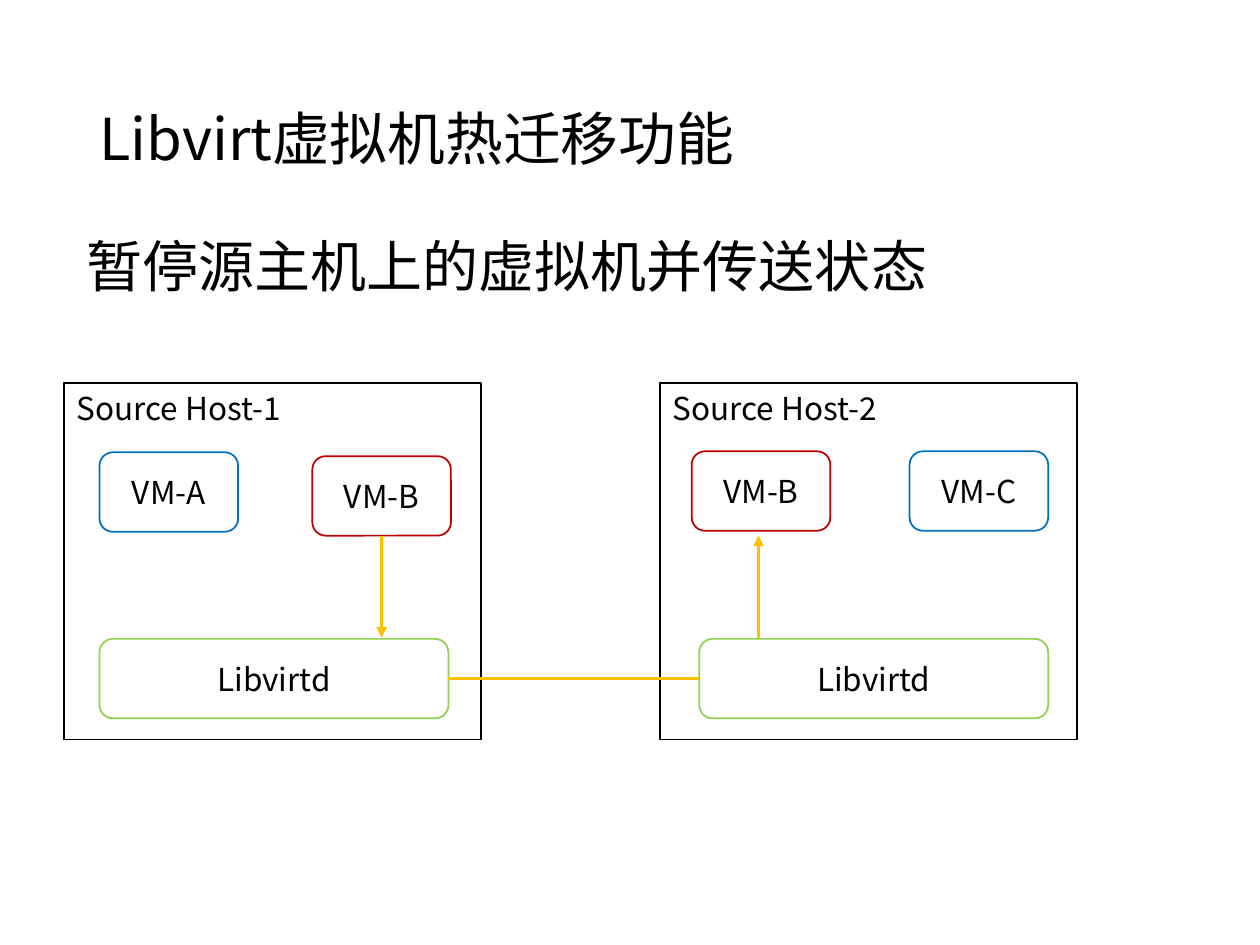
import dataclasses

import pptx
import pptx.dml.color
import pptx.enum.shapes
import pptx.enum.text
import pptx.oxml.xmlchemy
import pptx.util

Pt = pptx.util.Pt
SHAPE = pptx.enum.shapes.MSO_SHAPE
ANCHOR = pptx.enum.text.MSO_ANCHOR
ALIGN = pptx.enum.text.PP_ALIGN


@dataclasses.dataclass(frozen=True)
class Theme:
    ink: str = "000000"
    idle: str = "0070C0"
    migrating: str = "C00000"
    daemon: str = "92D050"
    flow: str = "FFC000"
    font: str = "Noto Sans CJK SC"
    subtitle_font: str = "Arial"
    title_size: int = 33
    subtitle_size: int = 32
    label_size: int = 18
    border: float = 1
    flow_width: float = 2


@dataclasses.dataclass(frozen=True)
class Box:
    left: float
    top: float
    width: float
    height: float

    def inner(self, left, top, width, height):
        return Box(self.left + left, self.top + top, width, height)

    @property
    def lengths(self):
        return [Pt(v) for v in (self.left, self.top, self.width, self.height)]


THEME = Theme()
HOST_WIDTH, HOST_HEIGHT, HOST_TOP = 238.3, 203.8, 218.9
VM_WIDTH, NODE_HEIGHT = 79.2, 45.4
DAEMON_WIDTH, DAEMON_TOP = 199.4, 146.2


def rgb(color):
    return pptx.dml.color.RGBColor.from_string(color)


def add_child(parent, tag, **attributes):
    child = pptx.oxml.xmlchemy.OxmlElement(tag)
    for key, value in attributes.items():
        child.set(key, value)
    parent.append(child)


def write(frame, text, size, font=THEME.font, align=ALIGN.LEFT, anchor=ANCHOR.MIDDLE):
    frame.text = text
    frame.vertical_anchor = anchor
    paragraph = frame.paragraphs[0]
    paragraph.alignment = align
    for run in paragraph.runs:
        run.font.size = Pt(size)
        run.font.name = font
        run.font.color.rgb = rgb(THEME.ink)
        add_child(run.font._element, "a:ea", typeface=THEME.font)
    return paragraph


def add_heading(slide, box, text, size, font=THEME.font, wrap=True):
    heading = slide.shapes.add_textbox(*box.lengths)
    heading.text_frame.word_wrap = wrap
    return write(heading.text_frame, text, size, font)


def add_frame(slide, box, preset, color, text, align, anchor):
    frame = slide.shapes.add_shape(preset, *box.lengths)
    frame.shadow.inherit = False
    frame.fill.background()
    frame.line.color.rgb = rgb(color)
    frame.line.width = Pt(THEME.border)
    write(frame.text_frame, text, THEME.label_size, align=align, anchor=anchor)


def add_node(slide, box, text, color):
    add_frame(slide, box, SHAPE.ROUNDED_RECTANGLE, color, text, ALIGN.CENTER, ANCHOR.MIDDLE)


def add_flow(slide, start, end, arrow=True):
    flow = slide.shapes.add_connector(
        pptx.enum.shapes.MSO_CONNECTOR.STRAIGHT, *[Pt(v) for v in (*start, *end)]
    )
    flow.line.color.rgb = rgb(THEME.flow)
    flow.line.width = Pt(THEME.flow_width)
    if arrow:
        add_child(flow.line._get_or_add_ln(), "a:tailEnd", type="triangle")
    add_child(flow._element.spPr, "a:effectLst")


def add_host(slide, box, name, machines, daemon_left):
    add_frame(slide, box, SHAPE.RECTANGLE, THEME.ink, name, ALIGN.LEFT, ANCHOR.TOP)
    for label, color, left, top in machines:
        add_node(slide, box.inner(left, top, VM_WIDTH, NODE_HEIGHT), label, color)
    daemon = box.inner(daemon_left, DAEMON_TOP, DAEMON_WIDTH, NODE_HEIGHT)
    add_node(slide, daemon, "Libvirtd", THEME.daemon)
    return daemon


def add_migration(slide, box):
    source = Box(box.left, box.top, HOST_WIDTH, HOST_HEIGHT)
    target = Box(box.left + box.width - HOST_WIDTH, box.top, HOST_WIDTH, HOST_HEIGHT)
    source_daemon = add_host(
        slide, source, "Source Host-1",
        [("VM-A", THEME.idle, 20.2, 39.6), ("VM-B", THEME.migrating, 141.8, 41.8)],
        20.2,
    )
    target_daemon = add_host(
        slide, target, "Source Host-2",
        [("VM-B", THEME.migrating, 18, 39), ("VM-C", THEME.idle, 142.5, 39)],
        22.3,
    )
    link_y = source_daemon.top + NODE_HEIGHT / 2
    add_flow(slide, (source_daemon.left + DAEMON_WIDTH, link_y),
             (target_daemon.left, link_y), arrow=False)
    upper, lower = box.top + 87.1, source_daemon.top - 0.7
    send_x, receive_x = source.left + 181.4, target.left + 56.2
    add_flow(slide, (send_x, upper), (send_x, lower))
    add_flow(slide, (receive_x, lower), (receive_x, upper))


def main():
    deck = pptx.Presentation()
    deck.slide_width, deck.slide_height = Pt(720), Pt(540)
    slide = deck.slides.add_slide(deck.slide_layouts[6])
    title = add_heading(slide, Box(49.7, 28.8, 620.6, 104.4),
                        "Libvirt虚拟机热迁移功能", THEME.title_size)
    title.line_spacing = 0.9
    add_heading(slide, Box(42.5, 128.2, 499, 46), "暂停源主机上的虚拟机并传送状态",
                THEME.subtitle_size, THEME.subtitle_font, wrap=False)
    add_migration(slide, Box(36.7, HOST_TOP, 578.9, HOST_HEIGHT))
    deck.save("out.pptx")


if __name__ == "__main__":
    main()
